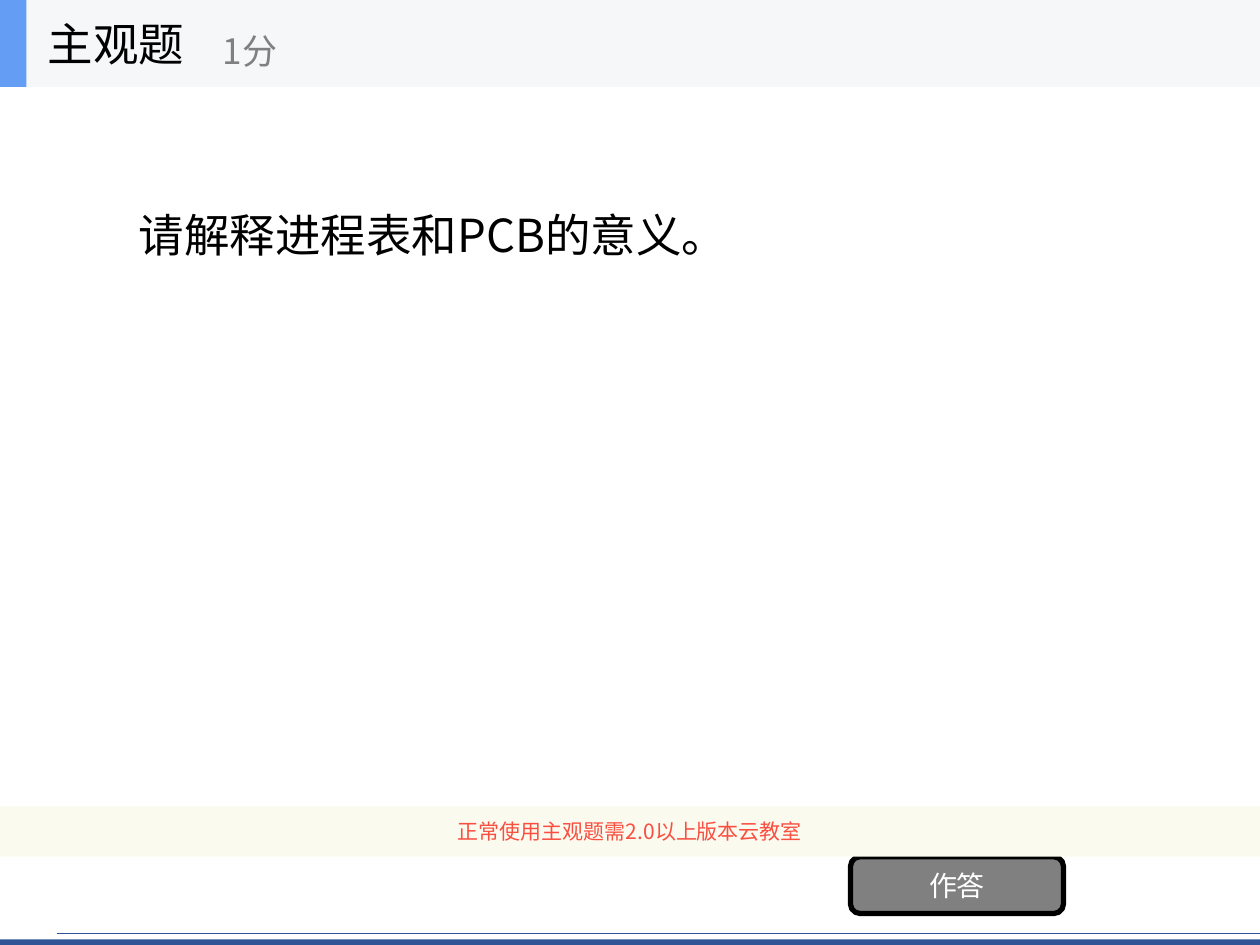
from lxml.etree import SubElement
from pptx import Presentation
from pptx.dml.color import RGBColor
from pptx.enum.shapes import MSO_CONNECTOR, MSO_SHAPE
from pptx.enum.text import MSO_ANCHOR, MSO_AUTO_SIZE, PP_ALIGN
from pptx.oxml.ns import qn
from pptx.util import Inches, Pt

FONT = "Noto Sans CJK SC"
WIDTH, HEIGHT = 10, 7.5
HEADER_H = 0.69
NAVY = "2F5597"


def color(value):
    return RGBColor.from_string(value)


def write(shape, text, size, ink, align=PP_ALIGN.LEFT):
    frame = shape.text_frame
    frame.text = text
    frame.word_wrap = True
    frame.auto_size = MSO_AUTO_SIZE.NONE
    frame.vertical_anchor = MSO_ANCHOR.MIDDLE
    paragraph = frame.paragraphs[0]
    paragraph.alignment = align
    font = paragraph.font
    font.size = Pt(size)
    font.color.rgb = color(ink)
    font.name = FONT
    # Chinese characters take the East Asian typeface
    properties = paragraph._p.pPr.find(qn("a:defRPr"))
    SubElement(properties, qn("a:ea")).set("typeface", FONT)


def add_block(slide, box, fill, kind=MSO_SHAPE.RECTANGLE):
    block = slide.shapes.add_shape(kind, *map(Inches, box))
    block.shadow.inherit = False
    block.fill.solid()
    block.fill.fore_color.rgb = color(fill)
    block.line.fill.background()
    return block


def add_label(slide, box, text, size, ink):
    write(slide.shapes.add_textbox(*map(Inches, box)), text, size, ink)


def add_footer(slide, left, top, width, height):
    # Thin rule above a solid strip along the slide's bottom edge
    strip_h = height / 2
    add_block(slide, (0, top + height - strip_h, WIDTH, strip_h), NAVY)
    rule = slide.shapes.add_connector(
        MSO_CONNECTOR.STRAIGHT, *map(Inches, (left, top, left + width, top)))
    rule.line.color.rgb = color(NAVY)
    rule.line.width = Pt(0.5)
    SubElement(rule._element.spPr, qn("a:effectLst"))


def add_question(slide, left, top, width, height):
    question = slide.shapes.title
    question.left, question.top = Inches(left), Inches(top)
    question.width, question.height = Inches(width), Inches(height)
    write(question, "请解释进程表和PCB的意义。", 26, "000000")


def add_answer_button(slide, *box):
    button = add_block(slide, box, "808080", MSO_SHAPE.ROUNDED_RECTANGLE)
    button.line.color.rgb = color("000000")
    button.line.width = Pt(3)
    write(button, "作答", 16, "FFFFFF", PP_ALIGN.CENTER)


def add_notice(slide, *box):
    notice = add_block(slide, box, "FBFAEF")
    write(notice, "正常使用主观题需2.0以上版本云教室", 12, "F84F41", PP_ALIGN.CENTER)


def add_header(slide, left, top, width, height):
    add_block(slide, (left, top, width, height), "F6F7F8")
    add_block(slide, (left, top, 0.21, height), "639EF4")
    add_label(slide, (left + 0.28, top, 1.39, height), "主观题", 26, "000000")
    add_label(slide, (left + 1.67, top + 0.12, 2.5, 0.56), "1分", 20, "808080")


def main():
    deck = Presentation()
    deck.slide_width, deck.slide_height = Inches(WIDTH), Inches(HEIGHT)
    slide = deck.slides.add_slide(deck.slide_layouts[5])
    add_footer(slide, 0.45, 7.41, WIDTH - 0.45, 0.09)
    add_question(slide, 0.1 * WIDTH, HEADER_H, 0.8 * WIDTH, 2.34)
    # The notice overlaps the button's top border
    add_answer_button(slide, 6.75, 6.8, 1.69, 0.45)
    add_notice(slide, 0, 6.4, WIDTH, 0.4)
    add_header(slide, 0, 0, WIDTH, HEADER_H)
    deck.save("out.pptx")


if __name__ == "__main__":
    main()
